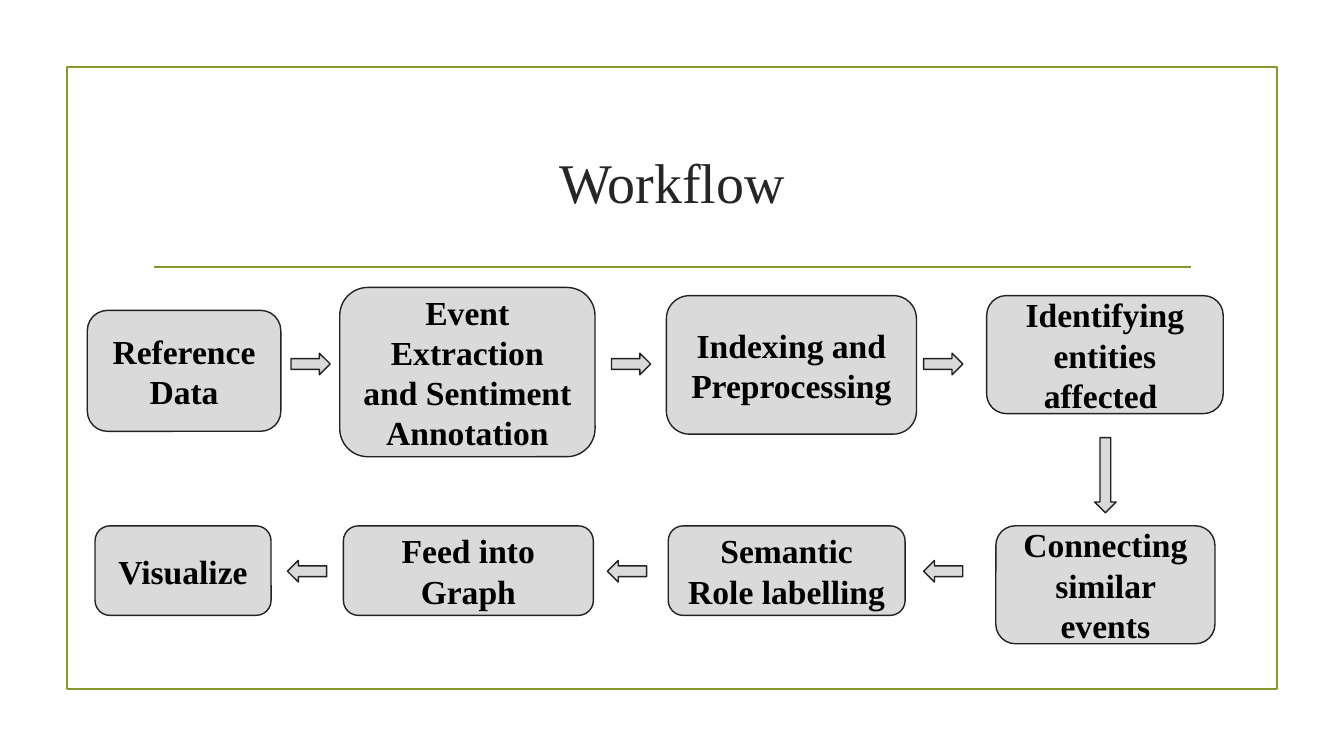
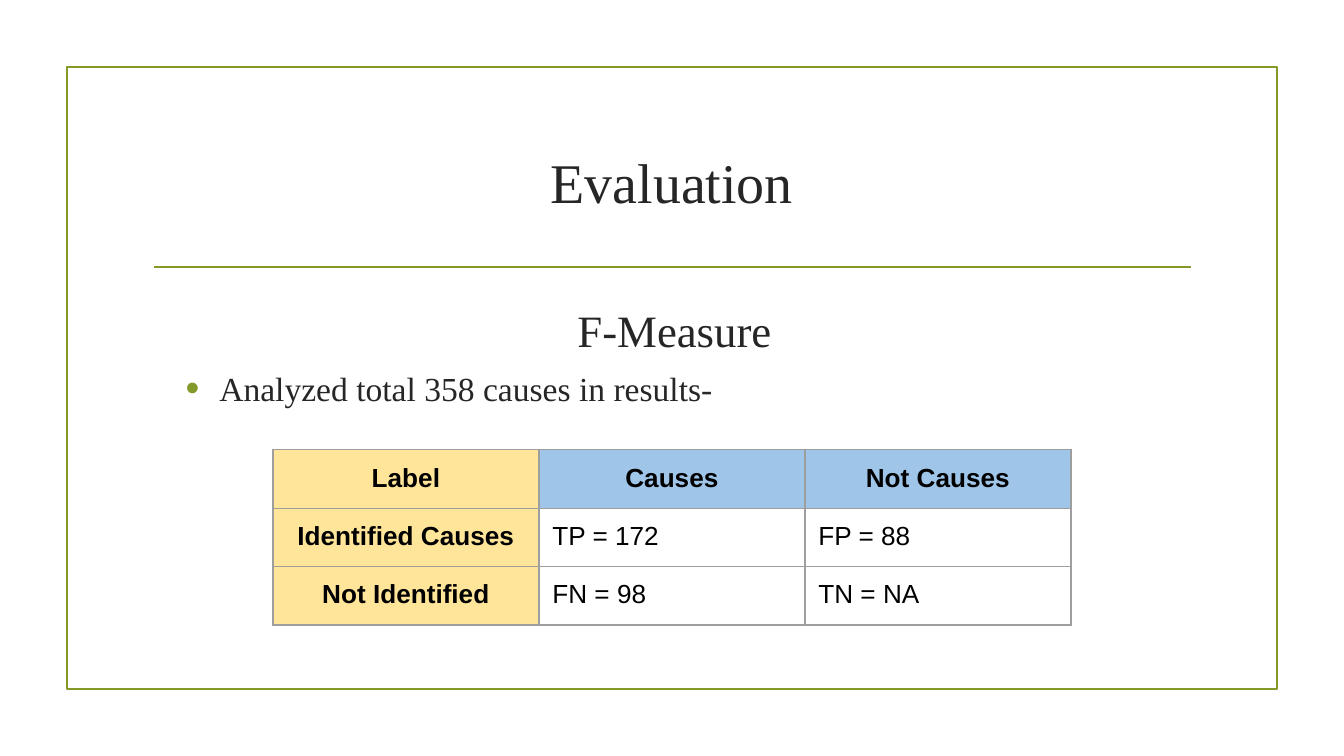
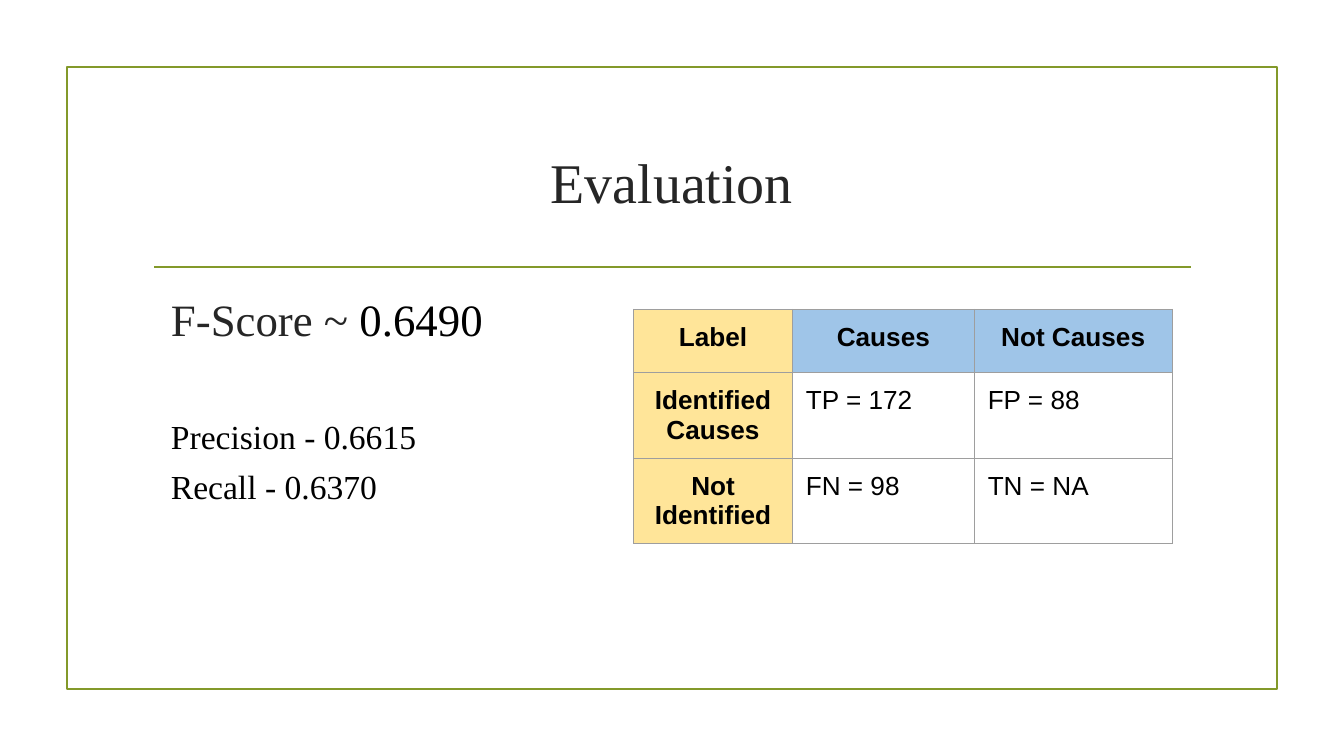
"""Build three slides on the workflow and evaluation of causal event analysis."""
from lxml.etree import SubElement
from pptx import Presentation
from pptx.dml.color import RGBColor
from pptx.enum.shapes import MSO_CONNECTOR, MSO_SHAPE
from pptx.enum.text import MSO_ANCHOR, MSO_AUTO_SIZE, PP_ALIGN
from pptx.oxml.ns import qn
from pptx.util import Pt

OLIVE = RGBColor(0x83, 0x99, 0x2A)
CHARCOAL = RGBColor(0x26, 0x26, 0x26)
OUTLINE = RGBColor(0x21, 0x21, 0x21)
GREY = RGBColor(0xDA, 0xDA, 0xDA)
BORDER = RGBColor(0x9E, 0x9E, 0x9E)
YELLOW = RGBColor(0xFF, 0xE5, 0x99)
BLUE = RGBColor(0x9F, 0xC5, 0xE8)
BLACK = RGBColor(0, 0, 0)
SERIF = "Times New Roman"
SANS = "Arial"
TITLE_ONLY = 5
TITLE_AND_BODY = 1

CONFUSION = [
    ["Label", "Causes", "Not Causes"],
    ["Identified Causes", "TP = 172", "FP = 88"],
    ["Not Identified", "FN = 98", "TN = NA"],
]
STEPS = [
    ("Reference Data", 46.8, 166.3, 103.7, 64.8),
    ("Event Extraction and Sentiment Annotation", 182, 154, 136.8, 90.7),
    ("Indexing and Preprocessing", 357, 158.4, 134, 74.2),
    ("Identifying entities affected ", 528.6, 158.4, 126.7, 63.2),
    ("Connecting similar events", 533.5, 281.7, 117.4, 63.2),
    ("Semantic Role labelling", 358, 281.7, 126.9, 48),
    ("Feed into Graph", 184, 281.7, 133.9, 48),
    ("Visualize", 50.9, 281.7, 94.3, 48),
]
ARROWS = [
    (155.9, 189.2, 21, 0),
    (327.6, 189.2, 21, 0),
    (494.8, 189.2, 21, 0),
    (572, 248.8, 40.3, 90),
    (494.8, 300.2, 21, 180),
    (325.4, 300.2, 21, 180),
    (154, 300.2, 21, 180),
]


class Deck:
    """Holds the shared style and the slide being filled."""

    def __init__(self):
        self.presentation = Presentation()
        self.presentation.slide_width = Pt(720)
        self.presentation.slide_height = Pt(405)
        self.slide = None

    def new_slide(self, heading, layout):
        """Start a slide with its frame, rule and title."""
        self.slide = self.presentation.slides.add_slide(self.presentation.slide_layouts[layout])
        frame = self.shape(MSO_SHAPE.RECTANGLE, 36, 36, 648, 333, None, OLIVE, 1.25)
        rule = self.slide.shapes.add_connector(
            MSO_CONNECTOR.STRAIGHT, Pt(82.6), Pt(143.1), Pt(638), Pt(143.1))
        rule.line.color.rgb = OLIVE
        rule.line.width = frame.line.width
        SubElement(rule.element.spPr, qn("a:effectLst"))
        title = self.slide.shapes.title
        self.place(title, 58.5, 76.8, MSO_ANCHOR.MIDDLE)
        title.text_frame.text = heading
        self.style(title.text_frame.paragraphs[0], 30, CHARCOAL, align=PP_ALIGN.CENTER)

    def place(self, holder, top, height, anchor):
        """Move a placeholder into the text column and set its frame."""
        holder.left, holder.top, holder.width, holder.height = (
            Pt(76.5), Pt(top), Pt(567), Pt(height))
        frame = holder.text_frame
        frame.auto_size = MSO_AUTO_SIZE.NONE
        frame.vertical_anchor = anchor
        frame.margin_left = frame.margin_right = frame.margin_top = frame.margin_bottom = Pt(5)

    def style(self, paragraph, size, color, font=SERIF, bold=False, align=PP_ALIGN.LEFT):
        """Format all the text of a paragraph."""
        paragraph.alignment = align
        paragraph.font.name = font
        paragraph.font.size = Pt(size)
        paragraph.font.bold = bold
        paragraph.font.color.rgb = color

    def shape(self, kind, left, top, width, height, fill, line, weight):
        """Add a flat preset shape."""
        shape = self.slide.shapes.add_shape(kind, Pt(left), Pt(top), Pt(width), Pt(height))
        shape.shadow.inherit = False
        if fill is None:
            shape.fill.background()
        else:
            shape.fill.solid()
            shape.fill.fore_color.rgb = fill
        shape.line.color.rgb = line
        shape.line.width = Pt(weight)
        return shape

    def step(self, label, left, top, width, height):
        """Add one rounded workflow box."""
        box = self.shape(MSO_SHAPE.ROUNDED_RECTANGLE, left, top, width, height, GREY, OUTLINE, 0.75)
        frame = box.text_frame
        frame.word_wrap = True
        frame.vertical_anchor = MSO_ANCHOR.MIDDLE
        frame.margin_left = frame.margin_right = frame.margin_top = frame.margin_bottom = Pt(7.2)
        frame.text = label
        self.style(frame.paragraphs[0], 18, BLACK, bold=True, align=PP_ALIGN.CENTER)

    def arrow(self, left, top, length, rotation):
        """Add a block arrow turned by the given degrees."""
        arrow = self.shape(MSO_SHAPE.RIGHT_ARROW, left, top, length, 11.6, GREY, OUTLINE, 0.75)
        arrow.rotation = rotation

    def body(self, lines):
        """Fill the body placeholder with (text, size, color, align, bulleted) lines."""
        holder = self.slide.placeholders[1]
        self.place(holder, 151.2, 195.8, MSO_ANCHOR.TOP)
        frame = holder.text_frame
        for index, (text, size, color, align, bulleted) in enumerate(lines):
            paragraph = frame.add_paragraph() if index else frame.paragraphs[0]
            paragraph.add_run().text = text
            self.style(paragraph, size, color, align=align)
            paragraph.space_before = Pt(0)
            paragraph.space_after = Pt(5)
            self.bullet(paragraph, bulleted)
        return frame.paragraphs

    def bullet(self, paragraph, shown):
        """Set the indent and the bullet of a paragraph."""
        properties = paragraph._p.get_or_add_pPr()
        left, hanging = (36, -18) if shown else (17.3, -7.2)
        properties.set("marL", str(Pt(left)))
        properties.set("indent", str(Pt(hanging)))
        if shown:
            tint = SubElement(properties, qn("a:buClr"))
            SubElement(tint, qn("a:srgbClr"), val=str(OLIVE))
            SubElement(properties, qn("a:buSzPct"), val="117000")
            SubElement(properties, qn("a:buChar"), char="•")
        else:
            SubElement(properties, qn("a:buNone"))
        defaults = properties.find(qn("a:defRPr"))
        if defaults is not None:
            properties.append(defaults)

    def confusion_table(self, left, top, widths, heights):
        """Add the confusion matrix with coloured headings."""
        table = self.slide.shapes.add_table(
            len(heights), len(widths), Pt(left), Pt(top), Pt(sum(widths)), Pt(sum(heights))).table
        table.first_row = table.horz_banding = False
        for column, width in zip(table.columns, widths):
            column.width = Pt(width)
        for row, height in zip(table.rows, heights):
            row.height = Pt(height)
        for r, values in enumerate(CONFUSION):
            for c, value in enumerate(values):
                self.cell(table.cell(r, c), value, r == 0 or c == 0, YELLOW if c == 0 else BLUE)

    def cell(self, cell, value, heading, color):
        """Fill and border one table cell."""
        cell.text = value
        cell.margin_left = cell.margin_right = cell.margin_top = cell.margin_bottom = Pt(7.2)
        self.style(cell.text_frame.paragraphs[0], 14, BLACK, SANS, heading,
                   PP_ALIGN.CENTER if heading else PP_ALIGN.LEFT)
        properties = cell._tc.get_or_add_tcPr()
        for side in ("a:lnL", "a:lnR", "a:lnT", "a:lnB"):
            edge = SubElement(properties, qn(side), w=str(Pt(0.75)))
            paint = SubElement(edge, qn("a:solidFill"))
            SubElement(paint, qn("a:srgbClr"), val=str(BORDER))
        if heading:
            cell.fill.solid()
            cell.fill.fore_color.rgb = color
        else:
            cell.fill.background()


def main():
    """Build and save the deck."""
    deck = Deck()

    deck.new_slide("Workflow", TITLE_ONLY)
    for step in STEPS:
        deck.step(*step)
    for arrow in ARROWS:
        deck.arrow(*arrow)

    deck.new_slide("Evaluation", TITLE_AND_BODY)
    measure, _ = deck.body([
        ("F-Measure", 24, CHARCOAL, PP_ALIGN.CENTER, False),
        ("Analyzed total 358 causes in results-", 18, CHARCOAL, PP_ALIGN.LEFT, True),
    ])
    spacer = measure.add_run()
    spacer.text = " "
    spacer.font.size = Pt(30)
    deck.confusion_table(146.2, 241, [142.5] * 3, [31.3] * 3)

    deck.new_slide("Evaluation", TITLE_AND_BODY)
    score, precision, _ = deck.body([
        ("F-Score ~ ", 24, CHARCOAL, PP_ALIGN.LEFT, False),
        ("Precision - 0.6615", 18, BLACK, PP_ALIGN.LEFT, False),
        ("Recall - 0.6370", 18, BLACK, PP_ALIGN.LEFT, False),
    ])
    value = score.add_run()
    value.text = "0.6490"
    value.font.color.rgb = BLACK
    precision.space_before = Pt(33)
    deck.confusion_table(339.5, 165.8, [85, 97.5, 106], [33.8, 45.7, 45.7])

    deck.presentation.save("out.pptx")


if __name__ == "__main__":
    main()
